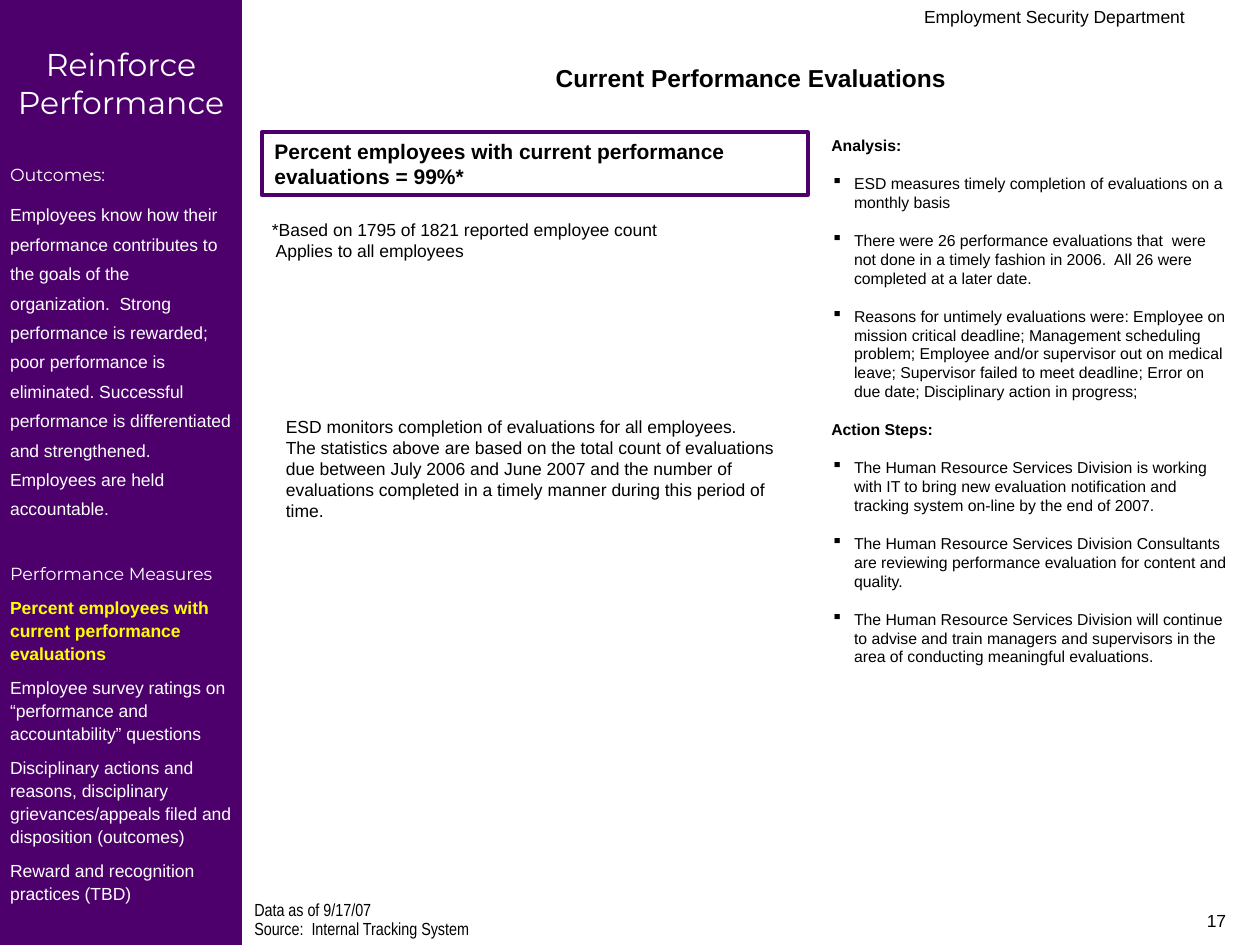
from dataclasses import dataclass

from lxml import etree
from pptx import Presentation
from pptx.dml.color import RGBColor
from pptx.enum.shapes import MSO_SHAPE
from pptx.enum.text import MSO_ANCHOR, PP_ALIGN
from pptx.oxml.ns import qn
from pptx.util import Inches, Pt

PURPLE = RGBColor(0x4D, 0x00, 0x6C)
YELLOW = RGBColor(0xFF, 0xFF, 0x00)
WHITE = RGBColor(0xFF, 0xFF, 0xFF)
BLACK = RGBColor(0x00, 0x00, 0x00)
LEFT, CENTER, RIGHT = PP_ALIGN.LEFT, PP_ALIGN.CENTER, PP_ALIGN.RIGHT
TOP = MSO_ANCHOR.TOP
RECTANGLE = MSO_SHAPE.RECTANGLE
HEADING_FONT = "Montserrat"
SECTION_GAP = 24.6
ANALYSIS_GAP = 10.8
BULLET_INDENT = 0.18


@dataclass(frozen=True)
class Line:
    """One paragraph with its look."""

    text: str
    size: float = 10
    font: str = "Arial"
    color: RGBColor = BLACK
    bold: bool = False
    align: PP_ALIGN = LEFT
    before: float = 0
    spacing: float = 1.0
    indent: float = 0
    bullet: bool = False


@dataclass(frozen=True)
class Block:
    """A text box placed in inches."""

    left: float
    top: float
    width: float
    height: float
    lines: tuple[Line, ...]


def measure(text: str, color: RGBColor = WHITE, bold: bool = False) -> Line:
    """Describe one performance measure of the sidebar."""
    return Line(text, color=color, bold=bold, before=6.2, spacing=1.1)


def heading(text: str, before: float = ANALYSIS_GAP) -> Line:
    """Describe a heading of the analysis column."""
    return Line(text, size=9, bold=True, before=before)


def point(text: str) -> Line:
    """Describe a bulleted point of the analysis column."""
    return Line(text, size=9, before=ANALYSIS_GAP, indent=BULLET_INDENT, bullet=True)


SIDEBAR = (
    Line("Reinforce Performance", 18, HEADING_FONT, WHITE, align=CENTER),
    Line("Outcomes:", 10, HEADING_FONT, WHITE, before=SECTION_GAP),
    Line(
        "Employees know how their performance contributes to the goals of the "
        "organization.  Strong performance is rewarded; poor performance is "
        "eliminated. Successful performance is differentiated and strengthened. "
        "Employees are held accountable.",
        color=WHITE, before=6.2, spacing=1.4,
    ),
    Line("Performance Measures", 10, HEADING_FONT, WHITE, before=SECTION_GAP),
    measure("Percent employees with current performance evaluations", YELLOW, True),
    measure("Employee survey ratings on “performance and accountability” questions"),
    measure(
        "Disciplinary actions and reasons, disciplinary grievances/appeals filed "
        "and disposition (outcomes)"
    ),
    measure("Reward and recognition practices (TBD)"),
)

RESULT = (
    Line("Percent employees with current performance evaluations = 99%*", 12, bold=True),
)

ANALYSIS = (
    heading("Analysis:", before=0),
    point("ESD measures timely completion of evaluations on a monthly basis"),
    point(
        "There were 26 performance evaluations that  were not done in a timely "
        "fashion in 2006.  All 26 were completed at a later date."
    ),
    point(
        "Reasons for untimely evaluations were: Employee on mission critical "
        "deadline; Management scheduling problem; Employee and/or supervisor out "
        "on medical leave; Supervisor failed to meet deadline; Error on due date; "
        "Disciplinary action in progress;"
    ),
    heading("Action Steps:"),
    point(
        "The Human Resource Services Division is working with IT to bring new "
        "evaluation notification and tracking system on-line by the end of 2007."
    ),
    point(
        "The Human Resource Services Division Consultants are reviewing "
        "performance evaluation for content and quality."
    ),
    point(
        "The Human Resource Services Division will continue to advise and train "
        "managers and supervisors in the area of conducting meaningful evaluations."
    ),
)

BLOCKS = (
    Block(1.92, 7.13, 4.83, 0.37, (
        Line("Data as of 9/17/07", font="Arial Narrow", spacing=0.7),
        Line("Source:  Internal Tracking System", font="Arial Narrow",
             before=2.5, spacing=0.7),
    )),
    Block(6.5, 1.03, 3.33, 4.97, ANALYSIS),
    Block(2.17, 3.25, 4.08, 0.94, (
        Line(
            "ESD monitors completion of evaluations for all employees.  The "
            "statistics above are based on the total count of evaluations due "
            "between July 2006 and June 2007 and the number of evaluations "
            "completed in a timely manner during this period of time."
        ),
    )),
    Block(2, 0.45, 7.92, 0.34, (
        Line("Current Performance Evaluations", 14, bold=True, align=CENTER),
    )),
    Block(2.06, 1.69, 4.15, 0.44, (
        Line("*Based on 1795 of 1821 reported employee count"),
        Line("Applies to all employees", indent=0.03),
    )),
    Block(4.5, 0, 5, 0.25, (Line("Employment Security Department", align=RIGHT),)),
    Block(7.5, 7.17, 2.33, 0.33, (Line("17", align=RIGHT),)),
)


def indent_paragraph(para, line: Line) -> None:
    """Set the left indent and, where wanted, a hanging square bullet."""
    properties = para._p.get_or_add_pPr()
    properties.set("marL", str(Inches(line.indent)))
    if line.bullet:
        properties.set("indent", str(-Inches(line.indent)))
        color = etree.SubElement(properties, qn("a:buClr"))
        etree.SubElement(color, qn("a:srgbClr")).set("val", str(BLACK))
        etree.SubElement(properties, qn("a:buChar")).set("char", "▪")


def write_lines(box, lines: tuple[Line, ...], side: float = 0.1,
                top: float = 0.05) -> None:
    """Fill a shape with formatted paragraphs."""
    frame = box.text_frame
    frame.word_wrap = True
    frame.vertical_anchor = TOP
    frame.margin_left = frame.margin_right = Inches(side)
    frame.margin_top, frame.margin_bottom = Inches(top), Inches(0.04)
    frame.text = "\n".join(line.text for line in lines)
    for para, line in zip(frame.paragraphs, lines):
        indent_paragraph(para, line)
        para.alignment = line.align
        para.space_before = Pt(line.before)
        para.line_spacing = line.spacing
        for span in para.runs:
            span.font.size = Pt(line.size)
            span.font.name = line.font
            span.font.bold = line.bold
            span.font.color.rgb = line.color


def add_panel(page, left: float, top: float, width: float, height: float):
    """Add a rectangle without shadow."""
    panel = page.shapes.add_shape(
        RECTANGLE, Inches(left), Inches(top), Inches(width), Inches(height))
    panel.shadow.inherit = False
    return panel


def main() -> None:
    """Build the performance evaluation slide."""
    deck = Presentation()
    deck.slide_width, deck.slide_height = Inches(10), Inches(7.5)
    page = deck.slides.add_slide(deck.slide_layouts[6])

    sidebar = add_panel(page, 0, 0, 1.92, 7.58)
    sidebar.fill.solid()
    sidebar.fill.fore_color.rgb = PURPLE
    sidebar.line.fill.background()
    write_lines(sidebar, SIDEBAR, side=0.08, top=0.36)

    result = add_panel(page, 2.08, 1.05, 4.33, 0.5)
    result.fill.background()
    result.line.color.rgb = PURPLE
    result.line.width = Pt(2.25)
    write_lines(result, RESULT)

    for block in BLOCKS:
        box = page.shapes.add_textbox(
            Inches(block.left), Inches(block.top),
            Inches(block.width), Inches(block.height))
        write_lines(box, block.lines)

    deck.save("out.pptx")


if __name__ == "__main__":
    main()
